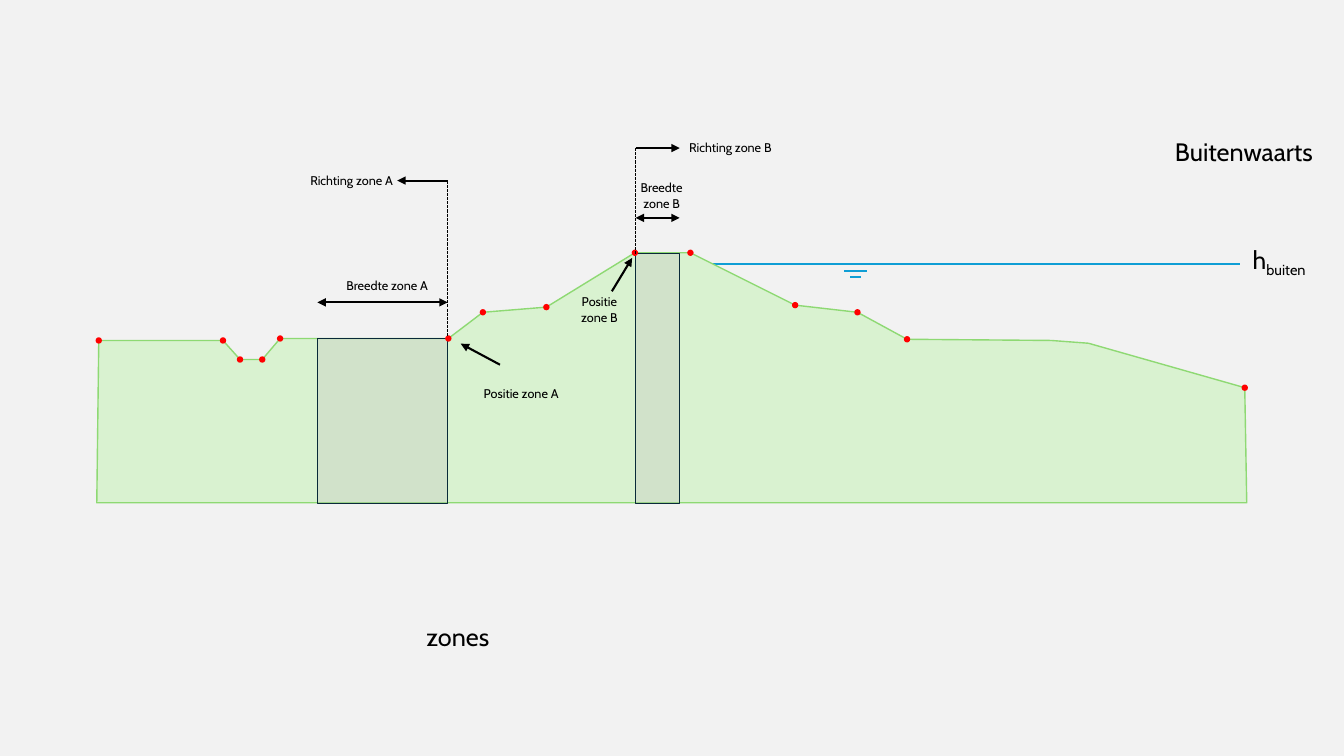
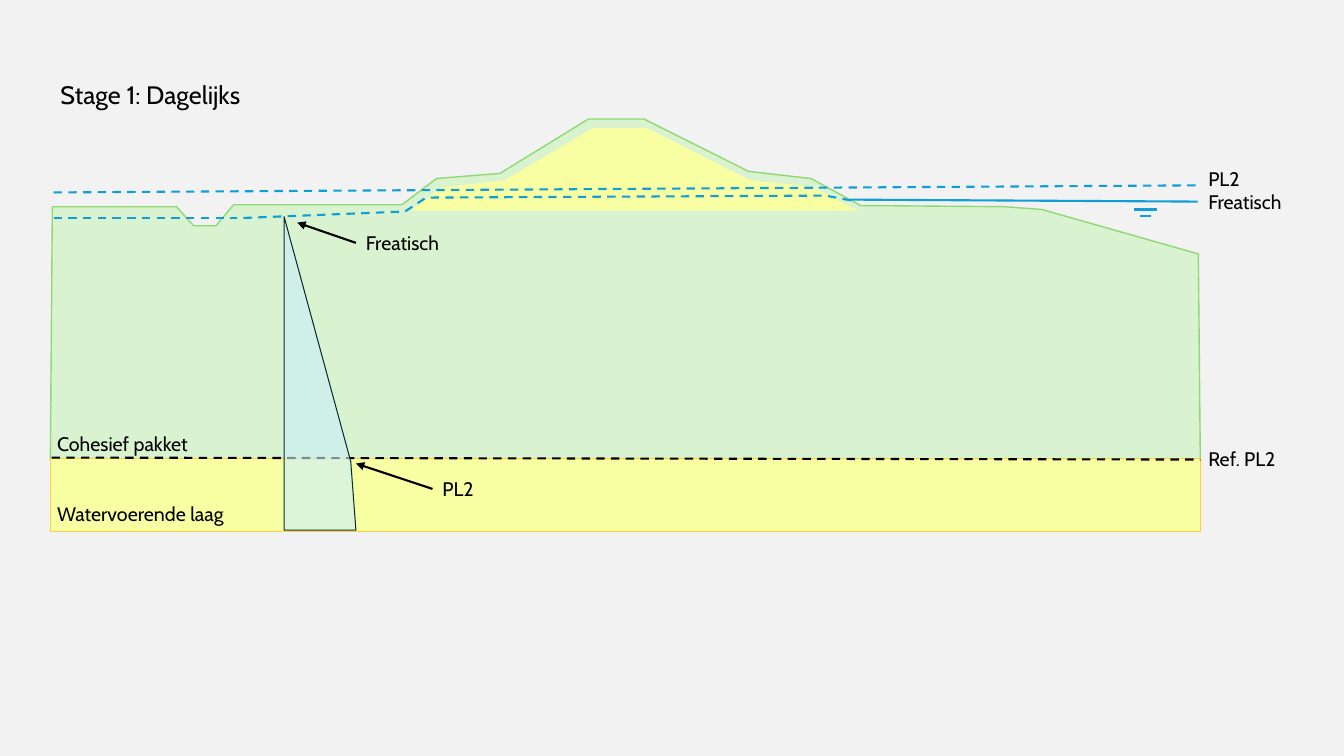
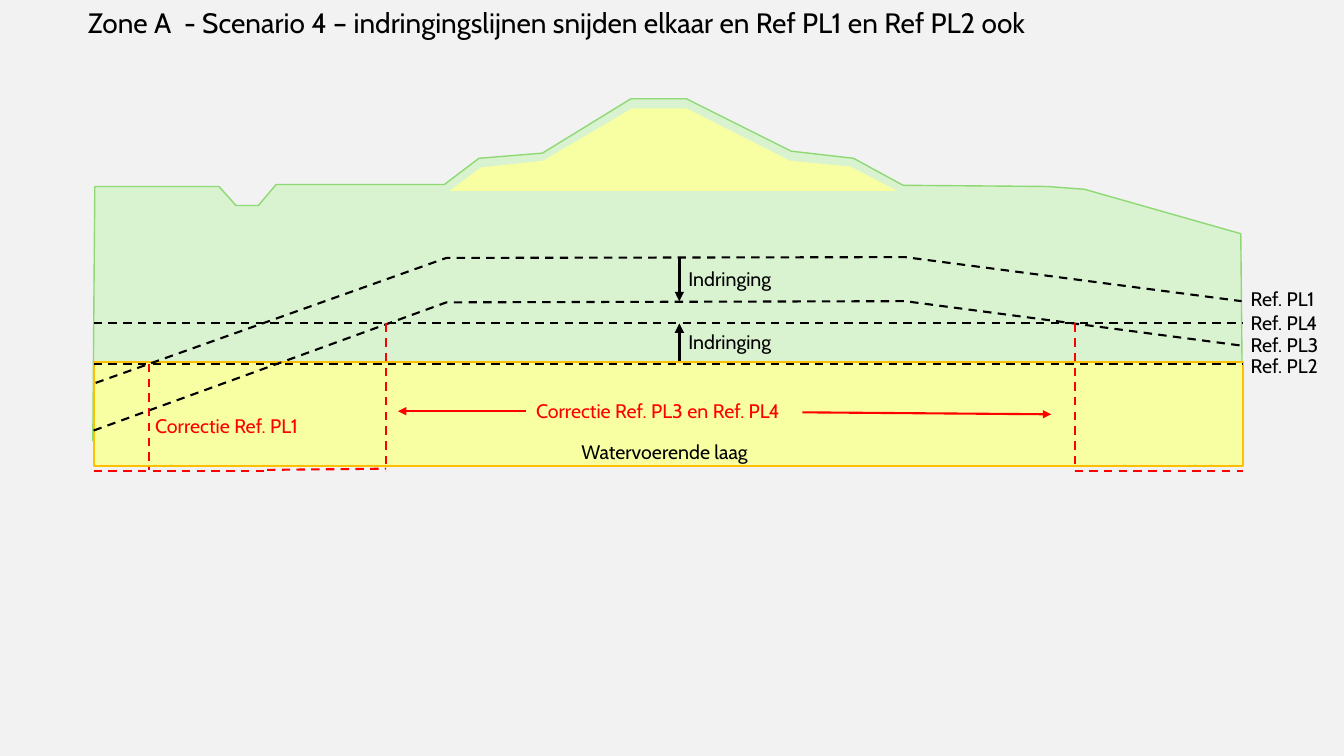
from lxml.etree import SubElement
from pptx import Presentation
from pptx.dml.color import RGBColor
from pptx.enum.dml import MSO_LINE_DASH_STYLE as Dash
from pptx.enum.shapes import MSO_CONNECTOR, MSO_SHAPE
from pptx.enum.text import MSO_ANCHOR, MSO_AUTO_SIZE, PP_ALIGN
from pptx.oxml.ns import qn
from pptx.util import Cm, Pt

FONT = "Cabin"
BACKGROUND = "F2F2F2"
BLACK = "000000"
RED = "FF0000"
WATER = "0F9ED5"
CLAY, GRASS = "D9F2D0", "8ED973"
SAND = "F8FFA3"
ZONE, OUTLINE = "BFBFBF", "092A39"
PRESSURE = "CAEEFB"

SURFACE = [
    (30.2, 6.4), (26.26, 5.28), (25.32, 5.21), (21.69, 5.18),
    (20.44, 4.5), (18.87, 4.32), (16.23, 3), (14.83, 3),
    (12.6, 4.37), (11, 4.5), (10.13, 5.16), (5.89, 5.16),
    (5.44, 5.69), (4.88, 5.69), (4.45, 5.21), (1.32, 5.21),
]
FORESHORE = SURFACE[1:3]
CORE = [
    (14.94, 3.23), (16.31, 3.23), (18.92, 4.55), (20.45, 4.7),
    (21.62, 5.31), (10.34, 5.31), (11.13, 4.72), (12.7, 4.55),
]
BASE_LEFT, BASE_RIGHT = 1.27, 30.25


def color(hex_text):
    return RGBColor.from_string(hex_text)


def shift(points, dx, dy):
    return [(x + dx, y + dy) for x, y in points]


def paint(shape, fill=None, opacity=None, line=None, width=1, dash=None):
    shape.shadow.inherit = False
    if fill:
        shape.fill.solid()
        shape.fill.fore_color.rgb = color(fill)
    else:
        shape.fill.background()
    if opacity:
        tint = shape._element.spPr.find(qn("a:solidFill")).find(qn("a:srgbClr"))
        SubElement(tint, qn("a:alpha")).set("val", str(opacity * 1000))
    if line:
        stroke(shape.line, line, width, dash)
    else:
        shape.line.fill.background()


def stroke(line, hex_text, width, dash):
    line.color.rgb = color(hex_text)
    line.width = Pt(width)
    if dash:
        line.dash_style = dash


def outline(slide, points, closed=True, **style):
    (x, y), *rest = points
    builder = slide.shapes.build_freeform(Cm(x), Cm(y))
    builder.add_line_segments([(Cm(px), Cm(py)) for px, py in rest], close=closed)
    paint(builder.convert_to_shape(), **style)


def block(slide, x, y, w, h, kind=MSO_SHAPE.RECTANGLE, **style):
    paint(slide.shapes.add_shape(kind, Cm(x), Cm(y), Cm(w), Cm(h)), **style)


def segment(slide, start, end, hex_text=BLACK, width=1.5, dash=None, ends=()):
    connector = slide.shapes.add_connector(
        MSO_CONNECTOR.STRAIGHT, *map(Cm, start), *map(Cm, end))
    stroke(connector.line, hex_text, width, dash)
    properties = connector._element.spPr
    for end_name in ends:
        SubElement(properties.find(qn("a:ln")), qn(f"a:{end_name}")).set("type", "triangle")
    SubElement(properties, qn("a:effectLst"))


def arrow(slide, start, end, **style):
    segment(slide, start, end, ends=("tailEnd",), **style)


def double_arrow(slide, start, end):
    segment(slide, start, end, ends=("headEnd", "tailEnd"))


def write(frame, text, size=14, hex_text=BLACK, align=PP_ALIGN.LEFT, subscript=None):
    frame.word_wrap = True
    frame.auto_size = MSO_AUTO_SIZE.NONE
    frame.vertical_anchor = MSO_ANCHOR.TOP
    frame.text = text
    if subscript:
        lowered = frame.paragraphs[0].add_run()
        lowered.text = subscript
        lowered.font._element.set("baseline", "-25000")
    for paragraph in frame.paragraphs:
        paragraph.alignment = align
        for run in paragraph.runs:
            run.font.name = FONT
            run.font.size = Pt(size)
            run.font.color.rgb = color(hex_text)


def label(slide, text, x, y, w, h=0.86, **style):
    write(slide.shapes.add_textbox(Cm(x), Cm(y), Cm(w), Cm(h)).text_frame, text, **style)


def new_slide(deck, title, x, y, w, size=18):
    slide = deck.slides.add_slide(deck.slide_layouts[5])
    heading = slide.shapes.title
    heading.left, heading.top, heading.width, heading.height = map(Cm, (x, y, w, 1.02))
    write(heading.text_frame, title, size=size)
    return slide


def dike(slide, dx, dy, base):
    ground = [(BASE_LEFT + dx, base), (BASE_RIGHT + dx, base)]
    outline(slide, ground + shift(SURFACE, dx, dy), fill=CLAY, line=GRASS)


def level_mark(slide, x, y):
    for half, drop in ((0.28, 0), (0.13, 0.16)):
        segment(slide, (x - half, y + drop), (x + half, y + drop), hex_text=WATER)


def zones_slide(deck):
    slide = new_slide(deck, "zones", 10.49, 15.54, 2.4)
    dx, dy, base = 1.17, 3.37, 12.67
    segment(slide, (17.96, 6.65), (31.24, 6.65), hex_text=WATER)
    dike(slide, dx, dy, base)
    level_mark(slide, 21.56, 6.83)

    a_left, a_right, b_left, b_right = 8, 11.28, 16.02, 17.13
    for left, right, top in ((a_left, a_right, 8.53), (b_left, b_right, 6.38)):
        block(slide, left, top, right - left, base + 0.02 - top,
              fill=ZONE, opacity=30, line=OUTLINE, width=0.75)
    dot = 0.16
    for x, y in shift([p for p in SURFACE if p not in FORESHORE], dx, dy):
        block(slide, x - dot / 2, y - dot / 2, dot, dot, kind=MSO_SHAPE.OVAL, fill=RED)

    for x, top, bottom in ((a_right, 4.55, 8.46), (b_left, 3.73, 6.4)):
        segment(slide, (x, top), (x, bottom), width=0.75, dash=Dash.SQUARE_DOT)
    arrow(slide, (a_right, 4.55), (10.01, 4.55))
    arrow(slide, (b_left, 3.73), (b_right, 3.73))
    double_arrow(slide, (a_right, 7.62), (a_left, 7.62))
    double_arrow(slide, (b_right, 5.49), (b_left, 5.49))
    arrow(slide, (12.6, 9.19), (11.61, 8.66))
    arrow(slide, (15.42, 7.34), (15.93, 6.5))

    for text, x, y, w in (
        ("Richting zone A", 7.57, 4.22, 2.87),
        ("Richting zone B", 17.12, 3.4, 2.8),
        ("Breedte zone A", 8.48, 6.88, 2.8),
        ("Positie zone A", 11.94, 9.6, 4.27),
    ):
        label(slide, text, x, y, w, h=0.64, size=9)
    for text, x, y in (("Breedte\nzone B", 15.8, 4.42), ("Positie\nzone B", 14.23, 7.29)):
        label(slide, text, x, y, 1.75, h=1.02, size=9, align=PP_ALIGN.CENTER)
    label(slide, "Buitenwaarts", 29.36, 3.3, 4.4, h=1.02, size=18)
    label(slide, "h", 31.32, 6.02, 2.3, h=1.02, size=18, subscript="buiten")


def daily_slide(deck):
    slide = new_slide(deck, "Stage 1: Dagelijks", 1.27, 1.88, 5.8)
    dike(slide, 0, 0, 11.58)
    block(slide, 1.27, 11.56, 28.98, 1.83, fill=SAND, line="FFD03B")
    segment(slide, (1.3, 11.53), (30.25, 11.58), dash=Dash.DASH)
    outline(slide, CORE, fill=SAND)

    segment(slide, (21.41, 5.03), (30.18, 5.08), hex_text=WATER)
    level_mark(slide, 28.87, 5.28)
    segment(slide, (1.35, 5.49), (5.97, 5.49), hex_text=WATER, dash=Dash.DASH)
    phreatic = [(21.44, 5.05), (20.8, 4.93), (10.74, 4.98), (10.21, 5.33), (5.97, 5.5)]
    outline(slide, phreatic, closed=False, line=WATER, width=1.5, dash=Dash.DASH)
    segment(slide, (1.35, 4.85), (30.2, 4.67), hex_text=WATER, dash=Dash.DASH)

    pressure = [(7.16, 13.36), (7.16, 5.46), (8.84, 11.63), (8.97, 13.36)]
    outline(slide, pressure, fill=PRESSURE, opacity=60, line=OUTLINE, width=0.75)
    arrow(slide, (8.97, 6.12), (7.49, 5.61))
    arrow(slide, (10.9, 12.32), (8.97, 11.68))

    for text, x, y in (
        ("Watervoerende laag", 1.19, 12.52),
        ("Cohesief pakket", 1.19, 10.77),
        ("Freatisch", 8.97, 5.69),
        ("PL2", 10.9, 11.89),
    ):
        label(slide, text, x, y, 4.85)
    for text, y in (("PL2", 4.09), ("Freatisch", 4.67), ("Ref. PL2", 11.13)):
        label(slide, text, 30.2, y, 2.87)


def scenario_slide(deck):
    slide = new_slide(
        deck,
        "Zone A  - Scenario 4 – indringingslijnen snijden elkaar en Ref PL1 en Ref PL2 ook",
        1.96, 0, 26.64, size=20)
    dike(slide, 1.07, -0.51, 11.1)
    block(slide, 2.36, 9.12, 28.96, 2.62, fill=SAND, line="FFC000", width=1.5)
    outline(slide, shift(CORE, 0.99, -0.5), fill=SAND)

    for intrusion in (
        [(2.41, 9.65), (11.25, 6.5), (22.81, 6.48), (31.29, 7.59)],
        [(2.36, 10.85), (11.25, 7.62), (22.81, 7.59), (31.29, 8.71)],
    ):
        outline(slide, intrusion, closed=False, line=BLACK, width=1.5, dash=Dash.DASH)
    for y in (8.15, 9.17):
        segment(slide, (2.36, y), (31.3, y), dash=Dash.DASH)
    for start, end in (
        ((3.76, 9.17), (3.76, 11.84)),
        ((9.73, 8.15), (9.73, 11.86)),
        ((27.08, 8.15), (27.08, 11.86)),
        ((2.36, 11.86), (6.73, 11.86)),
        ((6.73, 11.84), (9.73, 11.81)),
        ((27.08, 11.86), (31.32, 11.86)),
    ):
        segment(slide, start, end, hex_text=RED, dash=Dash.DASH)

    for start, end, text_top in ((6.48, 7.59, 6.6), (9.09, 8.15, 8.2)):
        arrow(slide, (17.12, start), (17.12, end), width=2.25)
        label(slide, "Indringing", 17.1, text_top, 4.39)
    arrow(slide, (13.26, 10.36), (10.03, 10.36), hex_text=RED)
    arrow(slide, (20.22, 10.39), (26.49, 10.44), hex_text=RED)
    label(slide, "Correctie Ref. PL3 en Ref. PL4", 13.26, 9.93, 7.11, hex_text=RED)
    label(slide, "Correctie Ref. PL1", 3.66, 10.31, 4.6, hex_text=RED)
    label(slide, "Watervoerende laag", 14.4, 10.95, 4.85)
    for text, y in (("Ref. PL1", 7.11), ("Ref. PL4", 7.72), ("Ref. PL3", 8.26), ("Ref. PL2", 8.79)):
        label(slide, text, 31.27, y, 2.59)


def main():
    deck = Presentation()
    deck.slide_width, deck.slide_height = Cm(33.87), Cm(19.05)
    backdrop = deck.slide_master.background.fill
    backdrop.solid()
    backdrop.fore_color.rgb = color(BACKGROUND)
    zones_slide(deck)
    daily_slide(deck)
    scenario_slide(deck)
    deck.save("out.pptx")


if __name__ == "__main__":
    main()
